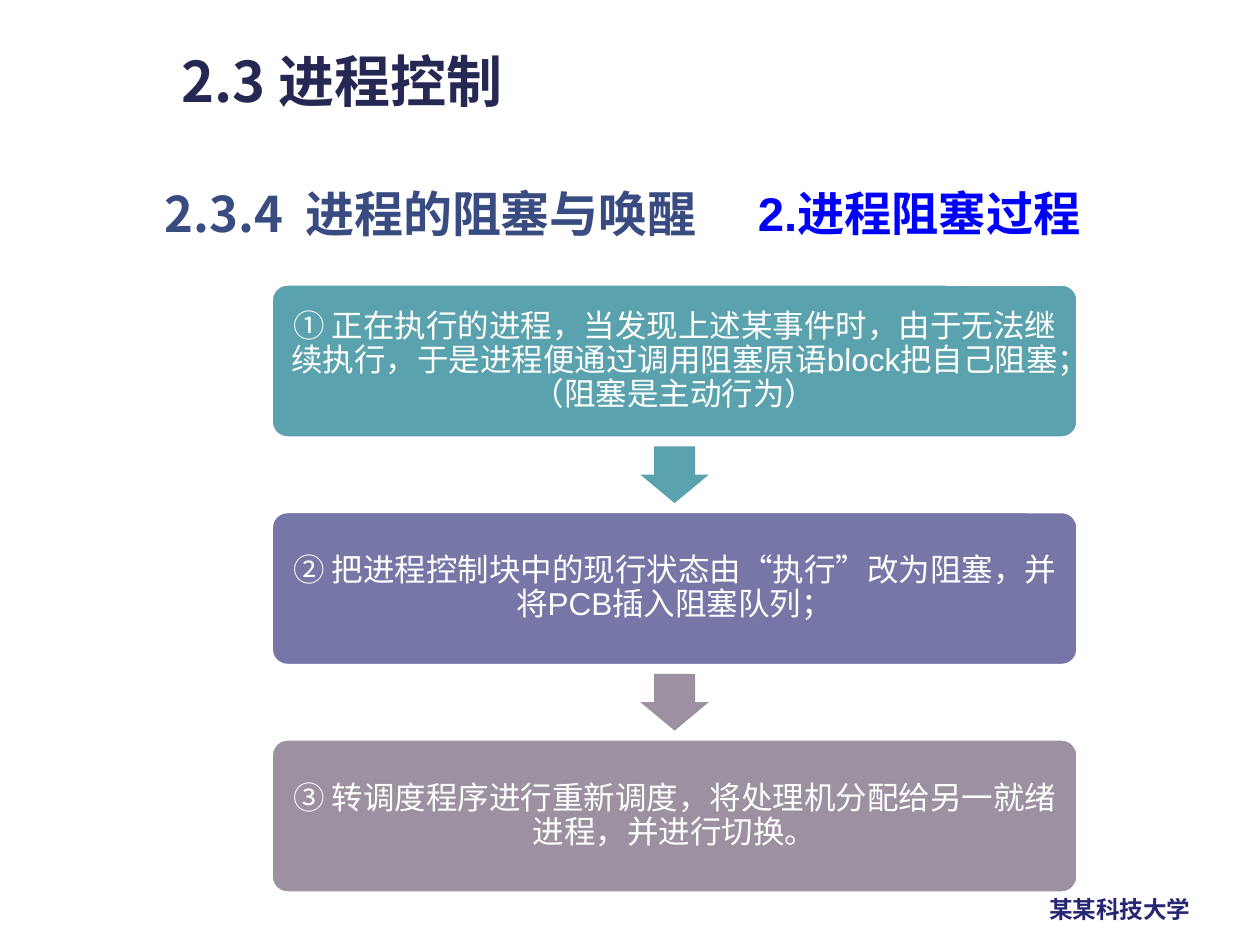
from lxml import etree
from pptx import Presentation
from pptx.dml.color import RGBColor
from pptx.enum.shapes import MSO_SHAPE
from pptx.enum.text import MSO_ANCHOR, PP_ALIGN
from pptx.oxml.ns import qn
from pptx.util import Pt

ROUNDED = MSO_SHAPE.ROUNDED_RECTANGLE
DOWN_ARROW = MSO_SHAPE.DOWN_ARROW
MIDDLE = MSO_ANCHOR.MIDDLE
LEFT, CENTER, JUSTIFY = PP_ALIGN.LEFT, PP_ALIGN.CENTER, PP_ALIGN.JUSTIFY

WHITE = RGBColor(0xFF, 0xFF, 0xFF)
NAVY = RGBColor(0x24, 0x28, 0x52)
SLATE = RGBColor(0x38, 0x4C, 0x81)
BLUE = RGBColor(0x00, 0x00, 0xFF)
INDIGO = RGBColor(0x26, 0x26, 0x73)
TEAL = RGBColor(0x5A, 0xA2, 0xAE)
VIOLET = RGBColor(0x76, 0x77, 0xA6)
MAUVE = RGBColor(0x9D, 0x90, 0xA0)

CHINESE, LATIN, QUOTE = "Noto Sans CJK SC", "Arial", "Courier New"

# Flow layout, in points
BOX_LEFT, BOX_TOP, BOX_WIDTH, BOX_HEIGHT = 155.5, 162.8, 460, 87
STEP_PITCH = 130
ARROW_WIDTH, ARROW_HEIGHT = 39, 32.4

STEPS = [
    (TEAL, ["① 正在执行的进程，当发现上述某事件时，由于无法继续执行，"
            "于是进程便通过调用阻塞原语block把自己阻塞；（阻塞是主动行为）"]),
    (VIOLET, ["② 把进程控制块中的现行状态由", "“", "执行", "”",
              "改为阻塞，并将PCB插入阻塞队列；"]),
    (MAUVE, ["③ 转调度程序进行重新调度，将处理机分配给另一就绪进程，并进行切换。"]),
]
ARROW_COLORS = [TEAL, MAUVE]


class SlideBuilder:
    def __init__(self, slide):
        self.slide = slide

    def style_run(self, run, size, color, font=LATIN, bold=False):
        run.font.size = Pt(size)
        run.font.color.rgb = color
        run.font.name = font
        run.font.bold = bold
        east_asian = etree.SubElement(run.font._element, qn("a:ea"))
        east_asian.set("typeface", CHINESE)

    def heading(self, text, left, top, width, height, size, color,
                font=CHINESE, align=LEFT, wrap=True):
        shape = self.slide.shapes.add_textbox(Pt(left), Pt(top), Pt(width), Pt(height))
        shape.text_frame.word_wrap = wrap
        paragraph = shape.text_frame.paragraphs[0]
        paragraph.text = text
        paragraph.alignment = align
        self.style_run(paragraph.runs[0], size, color, font, bold=True)

    def filled_shape(self, kind, left, top, width, height, color):
        shape = self.slide.shapes.add_shape(kind, Pt(left), Pt(top), Pt(width), Pt(height))
        shape.shadow.inherit = False
        shape.fill.solid()
        shape.fill.fore_color.rgb = color
        return shape

    def step_box(self, top, color, pieces):
        shape = self.filled_shape(ROUNDED, BOX_LEFT, top, BOX_WIDTH, BOX_HEIGHT, color)
        shape.adjustments[0] = 0.1
        shape.line.color.rgb = WHITE
        shape.line.width = Pt(1)
        frame = shape.text_frame
        frame.word_wrap = True
        frame.vertical_anchor = MIDDLE
        frame.margin_left = frame.margin_right = Pt(7.5)
        frame.margin_top = frame.margin_bottom = Pt(7.5)
        paragraph = frame.paragraphs[0]
        paragraph.alignment = CENTER
        paragraph.line_spacing = 0.9
        paragraph.space_after = Pt(6.3)
        for piece in pieces:
            run = paragraph.add_run()
            run.text = piece
            self.style_run(run, 18, WHITE, QUOTE if piece in "“”" else LATIN)

    def arrow(self, top, color):
        left = BOX_LEFT + (BOX_WIDTH - ARROW_WIDTH) / 2
        shape = self.filled_shape(DOWN_ARROW, left, top, ARROW_WIDTH, ARROW_HEIGHT, color)
        shape.adjustments[0] = 0.6
        shape.adjustments[1] = 0.5
        shape.line.fill.background()


def main():
    presentation = Presentation()
    presentation.slide_width, presentation.slide_height = Pt(720), Pt(540)
    builder = SlideBuilder(presentation.slides.add_slide(presentation.slide_layouts[6]))

    # Footer and headings
    builder.heading("某某科技大学", 592.5, 507.6, 96.5, 24, 13.5, INDIGO, wrap=False)
    builder.heading("2.3.4  进程的阻塞与唤醒", 87, 101.5, 484, 52, 28, SLATE)
    builder.heading("2.3 进程控制", 96.5, 23, 361.5, 47.5, 32, NAVY)
    builder.heading("2.进程阻塞过程", 426, 101.5, 280, 48, 27, BLUE, LATIN, JUSTIFY)

    # Steps of the blocking process
    for index, (color, pieces) in enumerate(STEPS):
        builder.step_box(BOX_TOP + index * STEP_PITCH, color, pieces)

    # Arrows centred in the gaps
    gap = STEP_PITCH - BOX_HEIGHT
    first_arrow = BOX_TOP + BOX_HEIGHT + (gap - ARROW_HEIGHT) / 2
    for index, color in enumerate(ARROW_COLORS):
        builder.arrow(first_arrow + index * STEP_PITCH, color)

    presentation.save("out.pptx")


if __name__ == "__main__":
    main()
